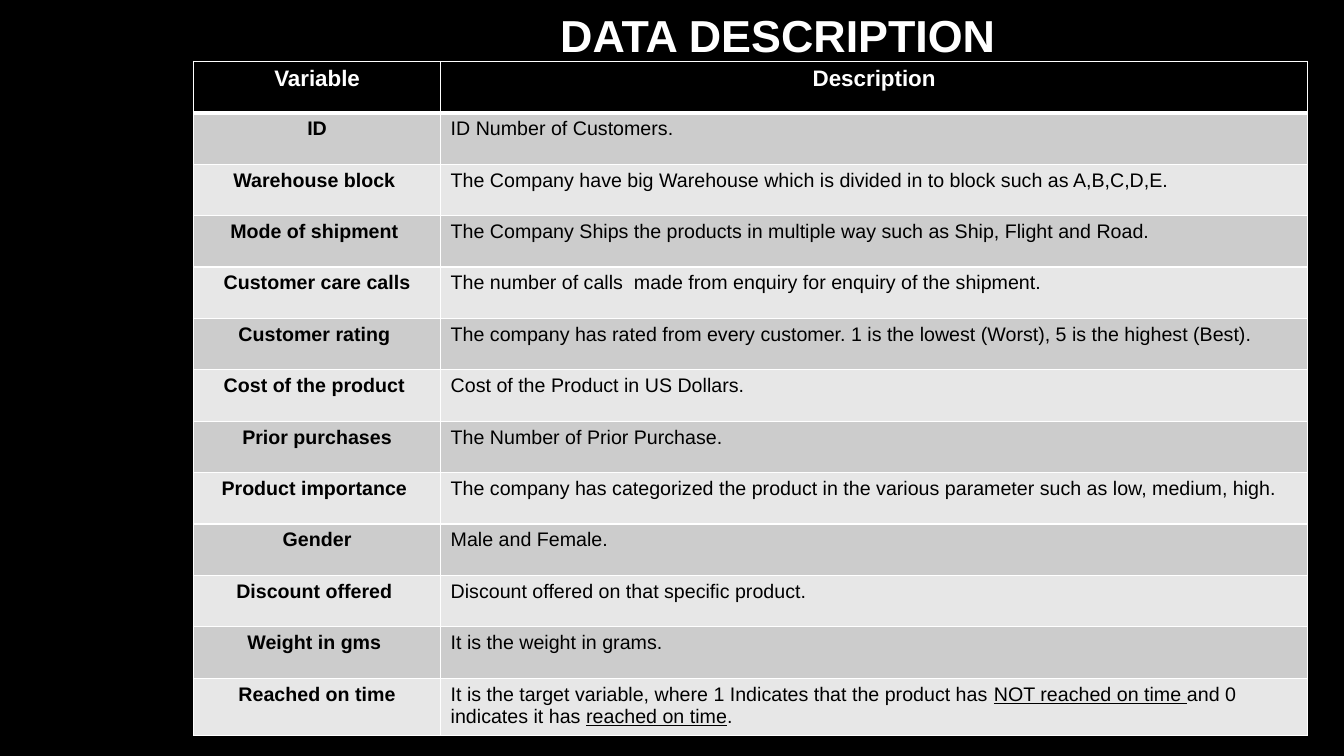
from dataclasses import dataclass

from lxml import etree
from pptx import Presentation
from pptx import util as u
from pptx.dml.color import RGBColor
from pptx.enum import text
from pptx.oxml import ns


@dataclass(frozen=True)
class Theme:
    font: str = "Arial"
    black: str = "000000"
    white: str = "FFFFFF"
    bands: tuple[str, str] = ("CCCCCC", "E7E7E7")
    title_size: int = 32
    header_size: int = 16
    body_size: int = 14
    border: int = 1
    header_rule: int = 3


@dataclass(frozen=True)
class Span:
    words: str
    underline: bool = False


@dataclass(frozen=True)
class Variable:
    name: str
    description: tuple[Span, ...]


@dataclass(frozen=True)
class CellLook:
    fill: str
    color: str
    size: int
    bold: bool
    centred: bool
    top: int = 1
    bottom: int = 1


THEME = Theme()
COLUMN_WIDTHS = (2.45, 8.6)
ROW_HEIGHT = 0.51

VARIABLES = [
    Variable("ID", (Span("ID Number of Customers."),)),
    Variable("Warehouse block ", (Span(
        "The Company have big Warehouse which is divided in to block such as A,B,C,D,E."),)),
    Variable("Mode of shipment ", (Span(
        "The Company Ships the products in multiple way such as Ship, Flight and Road."),)),
    Variable("Customer care calls", (Span(
        "The number of calls  made from enquiry for enquiry of the shipment."),)),
    Variable("Customer rating ", (Span(
        "The company has rated from every customer. 1 is the lowest (Worst), 5 is the highest (Best)."),)),
    Variable("Cost of the product ", (Span("Cost of the Product in US Dollars."),)),
    Variable("Prior purchases", (Span("The Number of Prior Purchase."),)),
    Variable("Product importance ", (Span(
        "The company has categorized the product in the various parameter such as low, medium, high."),)),
    Variable("Gender", (Span("Male and Female."),)),
    Variable("Discount offered ", (Span("Discount offered on that specific product."),)),
    Variable("Weight in gms ", (Span("It is the weight in grams."),)),
    Variable("Reached on time", (
        Span("It is the target variable, where 1 Indicates that the product has "),
        Span("NOT reached on time ", underline=True),
        Span("and 0 indicates it has "),
        Span("reached on time", underline=True),
        Span("."),
    )),
]


def style_font(font, size: int, color: str, bold: bool) -> None:
    font.name = THEME.font
    font.size = u.Pt(size)
    font.bold = bold
    font.color.rgb = RGBColor.from_string(color)


def set_borders(cell, top: int, bottom: int) -> None:
    """Draw the four cell edges, which must precede the cell fill."""
    properties = cell._tc.get_or_add_tcPr()
    edges = {"lnL": THEME.border, "lnR": THEME.border, "lnT": top, "lnB": bottom}
    for position, (edge, width) in enumerate(edges.items()):
        line = etree.Element(ns.qn(f"a:{edge}"), w=str(u.Pt(width)))
        fill = etree.SubElement(line, ns.qn("a:solidFill"))
        etree.SubElement(fill, ns.qn("a:srgbClr"), val=THEME.white)
        properties.insert(position, line)


def fill_cell(cell, spans: tuple[Span, ...], look: CellLook) -> None:
    cell.fill.solid()
    cell.fill.fore_color.rgb = RGBColor.from_string(look.fill)
    set_borders(cell, look.top, look.bottom)
    para = cell.text_frame.paragraphs[0]
    para.alignment = text.PP_ALIGN.CENTER if look.centred else text.PP_ALIGN.LEFT
    for span in spans:
        run = para.add_run()
        run.text = span.words
        style_font(run.font, look.size, look.color, look.bold)
        if span.underline:
            run.font.underline = True


def add_title(page, words: str) -> None:
    box = page.shapes.add_textbox(u.Inches(2.84), u.Inches(0.02), u.Inches(9.75), u.Inches(0.64))
    frame = box.text_frame
    frame.word_wrap = True
    frame.vertical_anchor = text.MSO_ANCHOR.MIDDLE
    frame.text = words
    para = frame.paragraphs[0]
    para.alignment = text.PP_ALIGN.CENTER
    style_font(para.runs[0].font, THEME.title_size, THEME.white, bold=True)


def add_variable_table(page) -> None:
    row_count = len(VARIABLES) + 1
    table = page.shapes.add_table(
        row_count, len(COLUMN_WIDTHS), u.Inches(1.92), u.Inches(0.61),
        u.Inches(sum(COLUMN_WIDTHS)), u.Inches(ROW_HEIGHT * row_count)).table
    for column, width in zip(table.columns, COLUMN_WIDTHS):
        column.width = u.Inches(width)
    for row in table.rows:
        row.height = u.Inches(ROW_HEIGHT)

    # Header row
    header = CellLook(THEME.black, THEME.white, THEME.header_size, bold=True,
                      centred=True, bottom=THEME.header_rule)
    for column, heading in enumerate(("Variable", "Description")):
        fill_cell(table.cell(0, column), (Span(heading),), header)

    # Banded rows: bold centred name, plain description
    for row, variable in enumerate(VARIABLES, start=1):
        band = THEME.bands[(row - 1) % 2]
        top = THEME.header_rule if row == 1 else THEME.border
        contents = ((Span(variable.name),), variable.description)
        for column, spans in enumerate(contents):
            is_name = column == 0
            look = CellLook(band, THEME.black, THEME.body_size, is_name, is_name, top)
            fill_cell(table.cell(row, column), spans, look)


def main() -> None:
    deck = Presentation()
    deck.slide_width, deck.slide_height = u.Inches(13.33), u.Inches(7.5)
    page = deck.slides.add_slide(deck.slide_layouts[6])
    page.background.fill.solid()
    page.background.fill.fore_color.rgb = RGBColor.from_string(THEME.black)
    add_title(page, "DATA DESCRIPTION")
    add_variable_table(page)
    deck.save("out.pptx")


if __name__ == "__main__":
    main()
